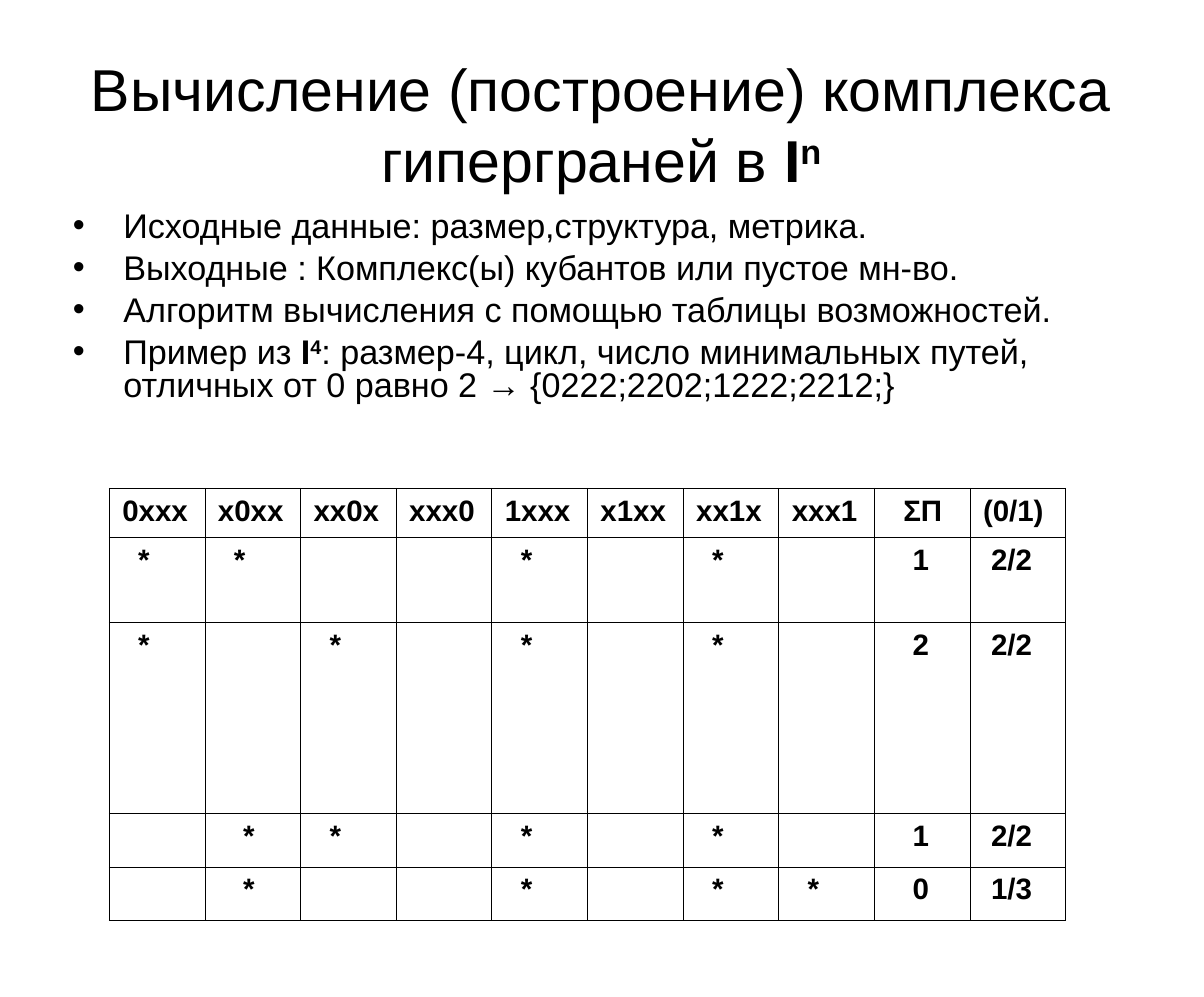
from dataclasses import dataclass

from lxml import etree
from pptx import Presentation
from pptx.dml.color import RGBColor
from pptx.enum.text import MSO_ANCHOR, PP_ALIGN
from pptx.oxml.ns import qn
from pptx.util import Pt

MIDDLE = MSO_ANCHOR.MIDDLE
TOP = MSO_ANCHOR.TOP
CENTER = PP_ALIGN.CENTER
EMU_PER_PX = 9144


@dataclass(frozen=True)
class Theme:
    font: str = "Arial"
    ink: str = "000000"
    paper: str = "FFFFFF"
    title_size: float = 32
    body_size: float = 18.5
    cell_size: float = 16
    border_width: float = 0.06


THEME = Theme()

PLAIN, BOLD, BOLD_SUPER = (False, 0), (True, 0), (True, 30)

TITLE = [
    ("Вычисление (построение) комплекса гиперграней в ", PLAIN),
    ("I", BOLD),
    ("n", BOLD_SUPER),
]
BULLETS = [
    [("Исходные данные: размер,структура, метрика.", PLAIN)],
    [("Выходные : Комплекс(ы) кубантов или пустое мн-во.", PLAIN)],
    [("Алгоритм вычисления с помощью таблицы возможностей.", PLAIN)],
    [
        ("Пример из ", PLAIN),
        ("I", BOLD),
        ("4", BOLD_SUPER),
        (": размер-4, цикл, число минимальных путей, отличных от 0 равно 2 "
         "→ {0222;2202;1222;2212;}", PLAIN),
    ],
]

NEAR, MID, FAR = 6, 12, 19
BLANK, STAR, FAR_STAR = ("", 0), ("*", MID), ("*", FAR)
CUBANTS = ["0ххх", "х0хх", "хх0х", "ххх0", "1ххх", "х1хх", "хх1х", "ххх1"]
HEADER = [(name, 0) for name in CUBANTS] + [("ΣП", MID), ("(0/1)", 0)]
PATHS = [
    [STAR, STAR, BLANK, BLANK, STAR, BLANK, STAR, BLANK, ("1", FAR), ("2/2", NEAR)],
    [STAR, BLANK, STAR, BLANK, STAR, BLANK, STAR, BLANK, ("2", FAR), ("2/2", NEAR)],
    [BLANK, FAR_STAR, STAR, BLANK, STAR, BLANK, STAR, BLANK, ("1", FAR), ("2/2", NEAR)],
    [BLANK, FAR_STAR, BLANK, BLANK, STAR, BLANK, STAR, STAR, ("0", FAR), ("1/3", NEAR)],
]
COLUMN_WIDTH = 72
ROW_HEIGHTS = [37, 64, 144, 40, 40]


def px(n):
    return n * EMU_PER_PX


def add_run(p, text, size, style):
    bold, raised = style
    r = p.add_run()
    r.text = text
    r.font.name = THEME.font
    r.font.size = Pt(size)
    r.font.bold = bold
    r.font.color.rgb = RGBColor.from_string(THEME.ink)
    if raised:
        r.font._element.set("baseline", str(raised * 1000))


def add_text_frame(s, left, top, width, height, anchor):
    sp = s.shapes.add_textbox(px(left), px(top), px(width), px(height))
    tf = sp.text_frame
    tf.word_wrap = True
    tf.vertical_anchor = anchor
    return tf


def add_title(s, runs):
    p = add_text_frame(s, 45, 30, 815, 125, MIDDLE).paragraphs[0]
    p.alignment = CENTER
    for text, style in runs:
        add_run(p, text, THEME.title_size, style)


def set_bullet(p, hang):
    pPr = p._p.get_or_add_pPr()
    pPr.set("marL", str(px(hang)))
    pPr.set("indent", str(px(-hang)))
    etree.SubElement(pPr, qn("a:buFont")).set("typeface", THEME.font)
    etree.SubElement(pPr, qn("a:buChar")).set("char", "•")


def add_bullets(s, items):
    tf = add_text_frame(s, 45, 155, 828, 189, TOP)
    for i, runs in enumerate(items):
        p = tf.add_paragraph() if i else tf.paragraphs[0]
        p.line_spacing = 0.8
        p.space_before = Pt(5)
        set_bullet(p, 38)
        for text, style in runs:
            add_run(p, text, THEME.body_size, style)


def set_borders(cell):
    tcPr = cell._tc.get_or_add_tcPr()
    for side in ("a:lnL", "a:lnR", "a:lnT", "a:lnB"):
        ln = etree.SubElement(tcPr, qn(side), w=str(Pt(THEME.border_width)))
        fill = etree.SubElement(ln, qn("a:solidFill"))
        etree.SubElement(fill, qn("a:srgbClr"), val=THEME.ink)


def fill_cell(cell, text, indent):
    set_borders(cell)
    cell.fill.background()
    if text:
        p = cell.text_frame.paragraphs[0]
        p.space_before = Pt(4)
        p._p.get_or_add_pPr().set("marL", str(px(indent)))
        add_run(p, text, THEME.cell_size, BOLD)


def add_path_table(s, rows):
    width = COLUMN_WIDTH * len(HEADER)
    frame = s.shapes.add_table(len(rows), len(HEADER), px(82), px(367),
                               px(width), px(sum(ROW_HEIGHTS)))
    table = frame.table
    table.first_row = False
    table.horz_banding = False
    for column in table.columns:
        column.width = px(COLUMN_WIDTH)
    for i, row in enumerate(rows):
        table.rows[i].height = px(ROW_HEIGHTS[i])
        for j, (text, indent) in enumerate(row):
            fill_cell(table.cell(i, j), text, indent)


def main():
    prs = Presentation()
    prs.slide_width, prs.slide_height = px(906), px(750)
    s = prs.slides.add_slide(prs.slide_layouts[6])
    s.background.fill.solid()
    s.background.fill.fore_color.rgb = RGBColor.from_string(THEME.paper)
    add_title(s, TITLE)
    add_bullets(s, BULLETS)
    add_path_table(s, [HEADER] + PATHS)
    prs.save("out.pptx")


if __name__ == "__main__":
    main()
